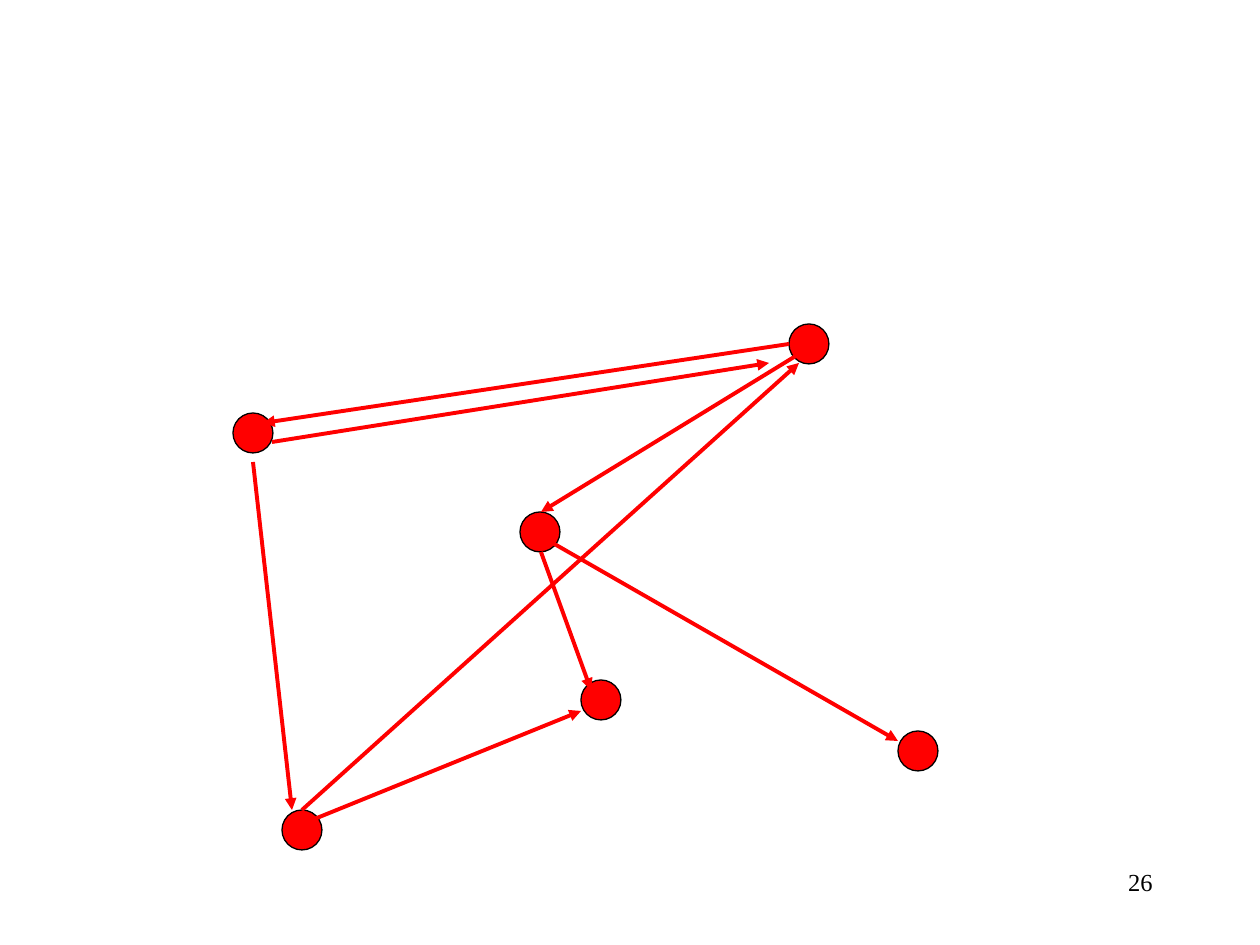
import pptx
import pptx.util
import pptx.dml.color
import pptx.enum.shapes
import pptx.enum.text
import pptx.oxml.ns
import lxml.etree

EMU_PER_PX = 914400 / 126
COLORS = {"graph": "FF0000", "ink": "000000"}
NODE_SIZE = 40
NODES = [(233, 413), (581, 680), (282, 810), (898, 731), (520, 512), (789, 324)]
EDGES = [
    ((312, 820), (581, 711)),
    ((302, 810), (799, 363)),
    ((541, 552), (591, 690)),
    ((551, 542), (898, 741)),
    ((789, 344), (263, 423)),
    ((253, 462), (292, 810)),
    ((272, 442), (769, 363)),
    ((799, 354), (541, 512)),
]


def px(*lengths):
    return [pptx.util.Emu(round(length * EMU_PER_PX)) for length in lengths]


def color(name):
    return pptx.dml.color.RGBColor.from_string(COLORS[name])


deck = pptx.Presentation()
deck.slide_width, deck.slide_height = px(1260, 945)
slide = deck.slides.add_slide(deck.slide_layouts[6])

page_number = slide.shapes.add_textbox(*px(903, 861, 262, 63))
page_number.text_frame.word_wrap = True
number_line = page_number.text_frame.paragraphs[0]
number_line.alignment = pptx.enum.text.PP_ALIGN.RIGHT
number_run = number_line.add_run()
number_run.text = "26"
number_run.font.size = pptx.util.Pt(14)
number_run.font.name = "Times New Roman"
number_run.font.color.rgb = color("ink")

for left, top in NODES:
    node = slide.shapes.add_shape(
        pptx.enum.shapes.MSO_SHAPE.OVAL, *px(left, top, NODE_SIZE, NODE_SIZE))
    node.shadow.inherit = False
    node.fill.solid()
    node.fill.fore_color.rgb = color("graph")
    node.line.color.rgb = color("ink")
    node.line.width = pptx.util.Pt(0.75)

for start, end in EDGES:
    edge = slide.shapes.add_connector(
        pptx.enum.shapes.MSO_CONNECTOR.STRAIGHT, *px(*start, *end))
    edge.line.color.rgb = color("graph")
    edge.line.width = pptx.util.Pt(2.25)
    outline = edge.line._get_or_add_ln()
    lxml.etree.SubElement(outline, pptx.oxml.ns.qn("a:tailEnd"), type="triangle")
    lxml.etree.SubElement(edge._element.spPr, pptx.oxml.ns.qn("a:effectLst"))

deck.save("out.pptx")
